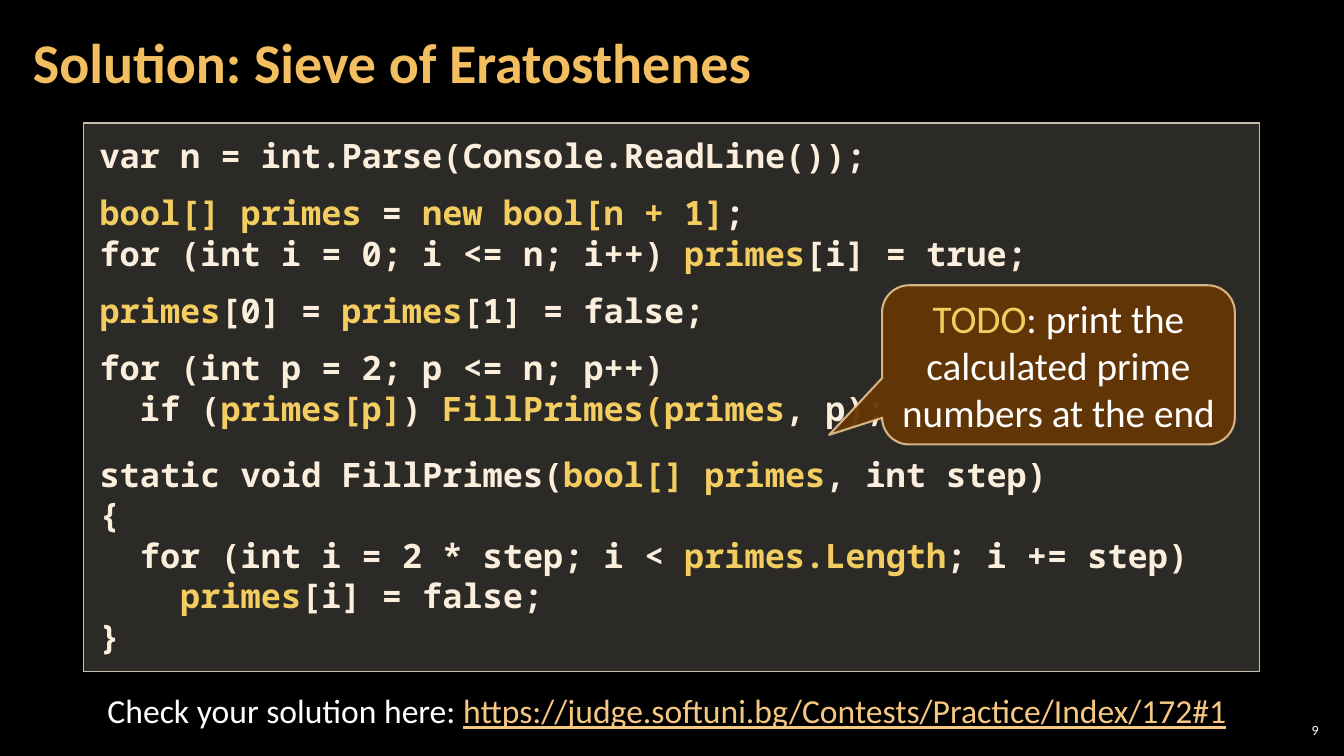
"""Build the slide with the Sieve of Eratosthenes solution."""
from pptx import Presentation
from pptx.dml.color import RGBColor
from pptx.enum.shapes import MSO_SHAPE as Kind
from pptx.enum.text import MSO_ANCHOR as Anchor, MSO_AUTO_SIZE as Fit, PP_ALIGN as Align
from pptx.oxml.ns import qn
from pptx.util import Cm, Pt
from lxml.etree import SubElement

BLACK = RGBColor(0x00, 0x00, 0x00)
WHITE = RGBColor(0xFF, 0xFF, 0xFF)
AMBER = RGBColor(0xF3, 0xBE, 0x60)
GOLD = RGBColor(0xF3, 0xCD, 0x60)
CREAM = RGBColor(0xFB, 0xEE, 0xDC)
SAND = RGBColor(0xD9, 0xD5, 0xC7)
STONE = RGBColor(0xC7, 0xBF, 0xAC)
BROWN = RGBColor(0x66, 0x36, 0x06)
PEACH = RGBColor(0xF8, 0xD4, 0x9E)
LINK = RGBColor(0xF6, 0xC7, 0x81)

CODE = [
    (0, "var n = int.Parse(Console.ReadLine());"),
    (12, "|bool[] primes| = |new bool[n + 1]|;"),
    (0, "for (int i = 0; i <= n; i++) |primes|[i] = true;"),
    (12, "|primes|[0] = |primes|[1] = false;"),
    (12, "for (int p = 2; p <= n; p++)"),
    (0, "  if (|primes[p]|) |FillPrimes(primes|, p);"),
    (18, "static void FillPrimes(|bool[] primes|, int step)"),
    (0, "{"),
    (0, "  for (int i = 2 * step; i < |primes.Length|; i += step)"),
    (0, "|    primes|[i] = false;"),
    (0, "}"),
]


def write(para, text, size, plain, accent=GOLD, face="Calibri", bold=False):
    """Add runs split at bars, every second one in the accent colour."""
    for i, part in enumerate(text.split("|")):
        if part:
            run = para.add_run()
            run.text = part
            run.font.name, run.font.size, run.font.bold = face, Pt(size), bold
            run.font.color.rgb = accent if i % 2 else plain


def paint(shape, fill, line, width, solid, edge):
    """Set fill and line with their opacity in percent."""
    shape.shadow.inherit = False
    shape.fill.solid()
    shape.fill.fore_color.rgb = fill
    shape.line.color.rgb = line
    shape.line.width = Pt(width)
    props = shape.element.spPr
    for root, rate in ((props, solid), (props.find(qn("a:ln")), edge)):
        tone = root.find(qn("a:solidFill"))[0]
        SubElement(tone, qn("a:alpha"), val=str(rate * 1000))


deck = Presentation()
deck.slide_width, deck.slide_height = Cm(33.87), Cm(19.05)
slide = deck.slides.add_slide(deck.slide_layouts[5])
slide.background.fill.solid()
slide.background.fill.fore_color.rgb = BLACK
shapes = slide.shapes

title = shapes.title
title.left, title.top, title.width, title.height = Cm(0.53), Cm(0.1), Cm(26.6), Cm(3.07)
frame = title.text_frame
frame.auto_size = Fit.NONE
frame.vertical_anchor = Anchor.MIDDLE
frame.margin_left = frame.margin_right = Cm(0.3)
frame.margin_top = frame.margin_bottom = Cm(0.1)
para = frame.paragraphs[0]
para.alignment = Align.LEFT
para.line_spacing = 0.9
write(para, "Solution: Sieve of Eratosthenes", 40, AMBER, bold=True)

panel = shapes.add_shape(Kind.RECTANGLE, Cm(2.11), Cm(3.1), Cm(29.64), Cm(13.82))
paint(panel, SAND, STONE, 1, 20, 100)
frame = panel.text_frame
frame.word_wrap = True
frame.vertical_anchor = Anchor.TOP
frame.margin_left = frame.margin_right = Cm(0.4)
frame.margin_top = frame.margin_bottom = Cm(0.3)
for i, (gap, text) in enumerate(CODE):
    para = frame.add_paragraph() if i else frame.paragraphs[0]
    para.alignment = Align.LEFT
    para.line_spacing = Pt(28.9)
    if gap:
        para.space_before = Pt(gap)
    write(para, text, 24, CREAM, face="Noto Sans Mono", bold=True)

check = shapes.add_textbox(Cm(2.11), Cm(17.27), Cm(29.4), Cm(1.27))
check.text_frame.word_wrap = True
para = check.text_frame.paragraphs[0]
para.alignment = Align.CENTER
write(para, "Check your solution here: |https://judge.softuni.bg/Contests/Practice/Index/172#1",
      24, WHITE, LINK)
para.runs[1].font.underline = True

note = shapes.add_shape(Kind.ROUNDED_RECTANGULAR_CALLOUT,
                        Cm(22.23), Cm(7.19), Cm(8.89), Cm(4.01))
for i, value in enumerate((-0.65, 0.44, 0.17)):
    note.adjustments[i] = value
paint(note, BROWN, PEACH, 1.5, 95, 80)
note.text_frame.word_wrap = True
note.text_frame.vertical_anchor = Anchor.MIDDLE
para = note.text_frame.paragraphs[0]
para.alignment = Align.CENTER
write(para, "|TODO|: print the calculated prime numbers at the end", 28, WHITE)

page = shapes.add_textbox(Cm(32.13), Cm(18.14), Cm(1.2), Cm(0.53))
frame = page.text_frame
frame.word_wrap = True
frame.vertical_anchor = Anchor.MIDDLE
frame.margin_left = frame.margin_right = Cm(0.1)
frame.margin_top = frame.margin_bottom = Cm(0.1)
para = frame.paragraphs[0]
para.alignment = Align.RIGHT
write(para, "9", 10, WHITE)

deck.save("out.pptx")
